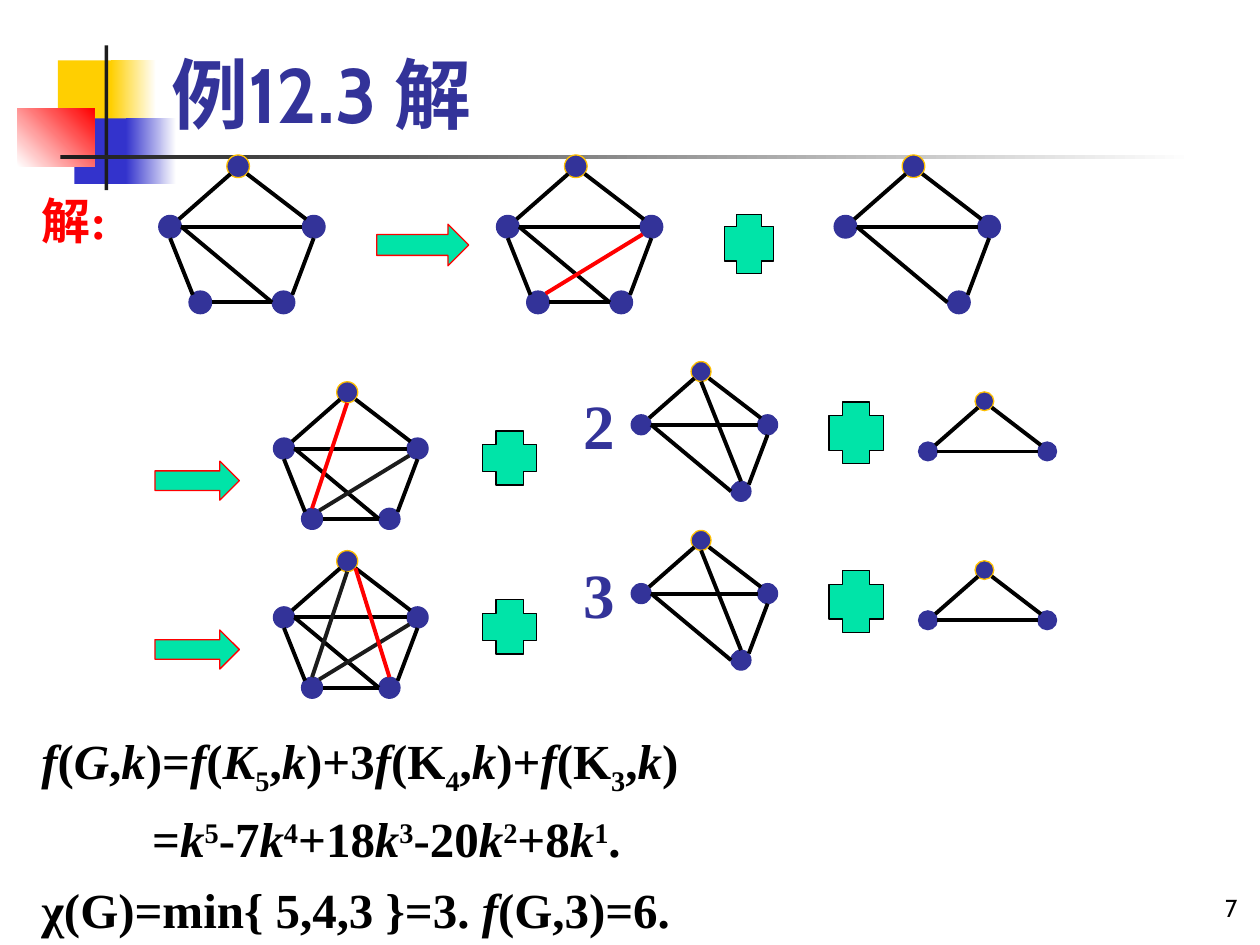
from lxml.etree import SubElement
from pptx import Presentation
from pptx.dml.color import RGBColor
from pptx.enum.shapes import MSO_CONNECTOR, MSO_SHAPE
from pptx.enum.text import MSO_ANCHOR, PP_ALIGN
from pptx.oxml.ns import qn
from pptx.util import Inches, Pt

INDIGO = RGBColor(0x33, 0x33, 0x99)
BLUE = RGBColor(0x33, 0x33, 0xCC)
YELLOW = RGBColor(0xFF, 0xCF, 0x01)
GOLD = RGBColor(0xFF, 0xC0, 0x00)
RED = RGBColor(0xFF, 0x00, 0x00)
GREEN = RGBColor(0x00, 0xE4, 0xA8)
CHARCOAL = RGBColor(0x1C, 0x1C, 0x1C)
BLACK = RGBColor(0x00, 0x00, 0x00)
WHITE = RGBColor(0xFF, 0xFF, 0xFF)

NODE_SIZE = 0.18
NODES = {"left": (0, 0.48), "top": (0.54, 0), "right": (1.14, 0.48),
         "low_left": (0.24, 1.08), "low_right": (0.9, 1.08)}
EDGES = {
    "top-left": (0.57, 0.15, 0.16, 0.51),
    "top-right": (0.7, 0.15, 1.17, 0.51),
    "left-low_left": (0.09, 0.66, 0.27, 1.11),
    "left-low_right": (0.18, 0.57, 0.9, 1.17),
    "left-right": (0.18, 0.57, 1.14, 0.57),
    "right-low_right": (1.23, 0.66, 1.06, 1.11),
    "low_left-low_right": (0.42, 1.17, 0.9, 1.17),
    "low_left-right": (0.39, 1.1, 1.16, 0.63),
    "low_left-top": (0.33, 1.08, 0.63, 0.18),
    "low_right-top": (0.99, 1.08, 0.7, 0.15),
    "top-low_right": (0.63, 0.18, 0.99, 1.08),
}
TRIANGLE = ["top-left", "top-right", "left-right"]
FOUR_NODES = TRIANGLE + ["left-low_right", "right-low_right"]
PENTAGON = FOUR_NODES + ["left-low_left", "low_left-low_right"]
ROW_STEP = 1.34

FORMULAS = [
    (0, [("f", "i"), ("(", ""), ("G", "i"), (",", ""), ("k", "i"), (")=", ""),
         ("f", "i"), ("(", ""), ("K", "i"), ("5", "_"), (",", ""), ("k", "i"),
         (")+3", ""), ("f", "i"), ("(K", ""), ("4", "_"), (",", ""), ("k", "i"),
         (")+", ""), ("f", "i"), ("(K", ""), ("3", "_"), (",", ""), ("k", "i"),
         (")", "")]),
    (0.88, [("=", ""), ("k", "i"), ("5", "^"), ("-7", ""), ("k", "i"), ("4", "^"),
            ("+18", ""), ("k", "i"), ("3", "^"), ("-20", ""), ("k", "i"), ("2", "^"),
            ("+8", ""), ("k", "i"), ("1", "^"), (".", "")]),
    (0, [("χ(G)=min{ 5,4,3 }=3. ", ""), ("f", "i"), ("(G,3)=6.", "")]),
]


class GraphSlide:
    """Draws the styled elements of a graph-colouring slide."""

    heading_font = "Cabin"
    body_font = "Times New Roman"
    baselines = {"_": "-25000", "^": "30000"}

    def __init__(self, slide):
        self.slide = slide

    def shape(self, kind, left, top, width, height, fill, line=None, parent=None):
        shapes = (parent or self.slide).shapes
        shape = shapes.add_shape(kind, Inches(left), Inches(top),
                                 Inches(width), Inches(height))
        shape.shadow.inherit = False
        shape.fill.solid()
        shape.fill.fore_color.rgb = fill
        if line is None:
            shape.line.fill.background()
        else:
            shape.line.color.rgb = line
            shape.line.width = Pt(0.75)
        return shape

    def bar(self, left, top, width, height, start, end=None, angle=0):
        bar = self.shape(MSO_SHAPE.RECTANGLE, left, top, width, height, start)
        if end is not None:
            bar.fill.gradient()
            bar.fill.gradient_angle = angle
            for stop, color in zip(bar.fill.gradient_stops, (start, end)):
                stop.color.rgb = color

    def arrow(self, left, top, width, height):
        self.shape(MSO_SHAPE.RIGHT_ARROW, left, top, width, height, GREEN, RED)

    def plus(self, left, top, width, height):
        self.shape(MSO_SHAPE.CROSS, left, top, width, height, GREEN, BLACK)

    def edge(self, group, start, end, color):
        edge = group.shapes.add_connector(
            MSO_CONNECTOR.STRAIGHT, *map(Inches, (*start, *end)))
        edge.line.color.rgb = color
        edge.line.width = Pt(2.25)
        SubElement(edge._element.spPr, qn("a:effectLst"))

    def graph(self, left, top, scale, nodes, edges, dark=(), red=()):
        group = self.slide.shapes.add_group_shape()
        size = NODE_SIZE * scale
        for node in nodes:
            x, y = NODES[node]
            self.shape(MSO_SHAPE.OVAL, left + x * scale, top + y * scale, size, size,
                       INDIGO, GOLD if node == "top" else INDIGO, group)
        for names, color in ((edges, BLACK), (dark, CHARCOAL), (red, RED)):
            for name in names:
                x1, y1, x2, y2 = EDGES[name]
                self.edge(group, (left + x1 * scale, top + y1 * scale),
                          (left + x2 * scale, top + y2 * scale), color)

    def text(self, left, top, width, height, lines, size, color, font=body_font,
             bold=True, anchor=MSO_ANCHOR.TOP, align=PP_ALIGN.LEFT, spacing=1.0):
        box = self.slide.shapes.add_textbox(Inches(left), Inches(top),
                                            Inches(width), Inches(height))
        frame = box.text_frame
        frame.word_wrap = True
        frame.vertical_anchor = anchor
        for index, (indent, runs) in enumerate(lines):
            paragraph = frame.add_paragraph() if index else frame.paragraphs[0]
            paragraph.alignment = align
            paragraph.line_spacing = spacing
            if indent:
                paragraph._p.get_or_add_pPr().set("marL", str(Inches(indent)))
            for content, style in runs:
                run = paragraph.add_run()
                run.text = content
                run.font.name = font
                run.font.size = Pt(size)
                run.font.bold = bold
                run.font.italic = style == "i"
                run.font.color.rgb = color
                if style in self.baselines:
                    run._r.get_or_add_rPr().set("baseline", self.baselines[style])

    def label(self, left, top, width, height, content, size, color, **style):
        self.text(left, top, width, height, [(0, [(content, "")])], size, color, **style)


def main():
    presentation = Presentation()
    presentation.slide_width, presentation.slide_height = Inches(10), Inches(7.5)
    page = GraphSlide(presentation.slides.add_slide(presentation.slide_layouts[6]))

    page.bar(0.46, 0.48, 0.48, 0.52, YELLOW)
    page.bar(0.88, 0.48, 0.36, 0.52, YELLOW, WHITE)
    page.bar(0.59, 0.94, 0.46, 0.52, BLUE)
    page.bar(1, 0.94, 0.4, 0.52, BLUE, WHITE)
    page.bar(0.14, 0.86, 0.61, 0.46, WHITE, RED, angle=45)
    page.bar(0.83, 0.36, 0.03, 1.15, CHARCOAL)
    page.bar(0.48, 1.23, 9, 0.03, CHARCOAL, WHITE)

    page.label(1.26, 0.08, 8.52, 1.07, "例12.3 解", 44, INDIGO,
               font=page.heading_font, anchor=MSO_ANCHOR.BOTTOM)
    page.label(0.23, 1.37, 9.29, 0.75, "解:", 28, RED, spacing=1.2)
    page.label(7.84, 6.87, 2.08, 0.5, "7", 14, BLACK, font=page.heading_font,
               bold=False, anchor=MSO_ANCHOR.BOTTOM, align=PP_ALIGN.RIGHT)

    four_nodes = ["left", "top", "right", "low_right"]
    triangle_nodes = four_nodes[:3]
    page.graph(1.26, 1.23, 1, NODES, PENTAGON)
    page.arrow(2.99, 1.78, 0.73, 0.33)
    page.graph(3.94, 1.23, 1, NODES, PENTAGON, red=["low_left-right"])
    page.plus(5.75, 1.7, 0.39, 0.47)
    page.graph(6.62, 1.23, 1, four_nodes, FOUR_NODES)

    reductions = [
        ("2", ["low_left-right"], ["low_left-top"]),
        ("3", ["low_left-right", "low_left-top"], ["low_right-top"]),
    ]
    for row, (count, added, adding) in enumerate(reductions):
        shift = row * ROW_STEP
        page.arrow(1.23, 3.66 + shift, 0.67, 0.31)
        page.graph(2.17, 3.03 + shift, 0.93, NODES, PENTAGON, added, adding)
        page.plus(3.83, 3.42 + shift, 0.43, 0.43)
        page.label(4.53, 3.02 + shift, 0.4, 0.71, count, 36, INDIGO)
        page.graph(5.01, 2.87 + shift, 0.88, four_nodes,
                   FOUR_NODES + ["top-low_right"])
        page.plus(6.58, 3.19 + shift, 0.43, 0.49)
        page.graph(7.29, 3.11 + shift, 0.83, triangle_nodes, TRIANGLE)

    page.text(0.23, 5.64, 9.29, 1.85, FORMULAS, 28, BLACK, spacing=1.2)
    presentation.save("out.pptx")


if __name__ == "__main__":
    main()
